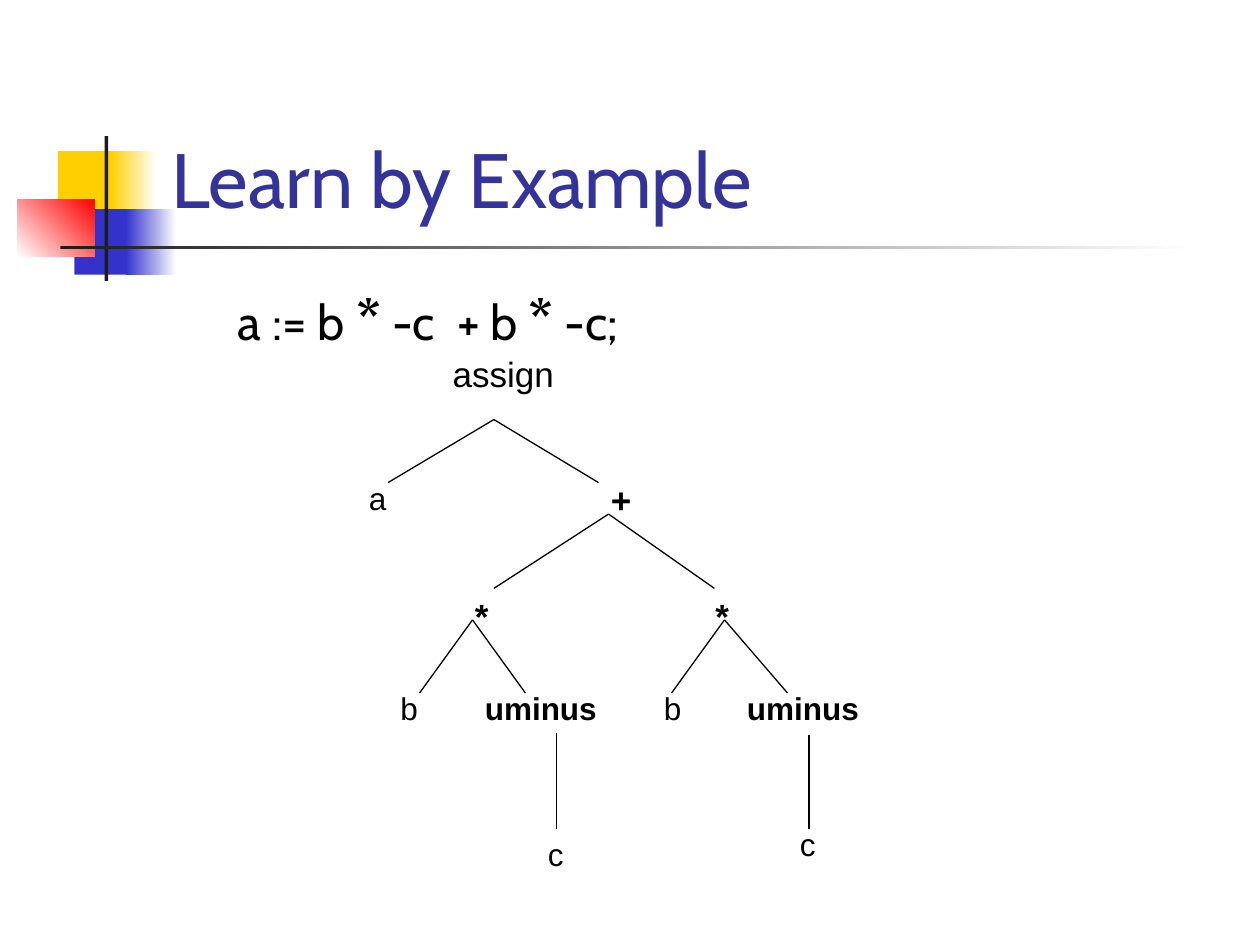
from dataclasses import dataclass

from lxml.etree import SubElement
from pptx import Presentation
from pptx.dml.color import RGBColor
from pptx.enum.shapes import MSO_CONNECTOR, MSO_SHAPE
from pptx.enum.text import MSO_ANCHOR, PP_ALIGN
from pptx.oxml.ns import qn
from pptx.util import Inches, Pt


@dataclass(frozen=True)
class Theme:
    """Colours, fonts and type sizes of the slide."""
    yellow: str = "FFCF01"
    blue: str = "3333CC"
    red: str = "FF0000"
    dark: str = "1C1C1C"
    white: str = "FFFFFF"
    title: str = "333399"
    text: str = "000000"
    heading_font: str = "Cabin"
    tree_font: str = "Arial"
    title_size: int = 44
    code_size: int = 28
    star_size: int = 32
    operator_size: int = 20
    leaf_size: int = 18
    line_width: float = 0.75


THEME = Theme()


def add_block(slide, box, start, end=None, angle=0):
    """Add a rectangle with a solid fill, or a gradient when end is given."""
    sp = slide.shapes.add_shape(MSO_SHAPE.RECTANGLE, *map(Inches, box))
    sp.shadow.inherit = False
    sp.line.fill.background()
    if end is None:
        sp.fill.solid()
        sp.fill.fore_color.rgb = RGBColor.from_string(start)
        return
    sp.fill.gradient()
    sp.fill.gradient_angle = angle
    for stop, color in zip(sp.fill.gradient_stops, (start, end)):
        stop.color.rgb = RGBColor.from_string(color)


def add_text(slide, box, runs, font, color=THEME.text,
             anchor=MSO_ANCHOR.TOP, align=PP_ALIGN.LEFT):
    """Add a one-paragraph text box from (text, size, bold) runs."""
    sp = slide.shapes.add_textbox(*map(Inches, box))
    tf = sp.text_frame
    tf.word_wrap = True
    tf.vertical_anchor = anchor
    p = tf.paragraphs[0]
    p.alignment = align
    for text, size, bold in runs:
        r = p.add_run()
        r.text = text
        r.font.name = font
        r.font.size = Pt(size)
        r.font.bold = bold
        r.font.color.rgb = RGBColor.from_string(color)
    return sp


def add_node(slide, text, left, top, width, size=THEME.leaf_size,
             bold=False, align=PP_ALIGN.LEFT):
    """Add the label of one syntax tree node."""
    height = 0.44 if size == THEME.operator_size else 0.4
    return add_text(slide, (left, top, width, height), [(text, size, bold)],
                    THEME.tree_font, align=align)


def add_edge(slide, start, end):
    """Add a thin line between two points of the tree."""
    line = slide.shapes.add_connector(
        MSO_CONNECTOR.STRAIGHT, *map(Inches, (*start, *end)))
    line.line.width = Pt(THEME.line_width)
    line.line.color.rgb = RGBColor.from_string(THEME.text)
    SubElement(line._element.spPr, qn("a:effectLst"))
    return line


def add_fork(slide, apex, left_x, right_x, bottom):
    """Add the two edges from a parent down to its children."""
    for x in (left_x, right_x):
        add_edge(slide, apex, (x, bottom))


def add_decoration(slide):
    """Add the coloured blocks and the rules beside the title."""
    t = THEME
    add_block(slide, (0.46, 1.2, 0.48, 0.52), t.yellow)
    add_block(slide, (0.88, 1.2, 0.36, 0.52), t.yellow, t.white)
    add_block(slide, (0.59, 1.66, 0.46, 0.52), t.blue)
    add_block(slide, (1, 1.66, 0.4, 0.52), t.blue, t.white)
    add_block(slide, (0.14, 1.58, 0.61, 0.46), t.white, t.red, 45)
    add_block(slide, (0.83, 1.08, 0.03, 1.15), t.dark)
    add_block(slide, (0.48, 1.95, 9, 0.03), t.dark, t.white)


def add_heading(slide):
    """Add the title and the example statement."""
    t = THEME
    add_text(slide, (1.26, 0.23, 8.52, 1.6),
             [("Learn by Example", t.title_size, False)],
             t.heading_font, t.title, MSO_ANCHOR.BOTTOM)
    star = ("*", t.star_size, True)
    runs = [("a := b ", t.code_size, False), star,
            (" -c  + b ", t.code_size, False), star,
            (" -c;", t.code_size, False)]
    add_text(slide, (1.79, 2.21, 8, 0.65), runs, t.heading_font)


def add_tree(slide):
    """Add the syntax tree of the statement."""
    big = THEME.operator_size
    add_node(slide, "assign", 3.33, 2.75, 1.33, big, align=PP_ALIGN.CENTER)
    add_node(slide, "a", 2.83, 3.75, 0.33)
    add_node(slide, "+", 4.75, 3.75, 0.42, big, True)
    add_fork(slide, (3.92, 3.33), 3.08, 4.75, 3.83)
    add_fork(slide, (4.83, 4.08), 3.92, 5.67, 4.67)

    products = [
        (3.67, 0.5, 3.75, 3.33, 4.17, 3.08, 3.75, 4.25, 6.58),
        (5.58, 0.83, 5.75, 5.33, 6.25, 5.17, 5.83, 6.25, 6.5),
    ]
    for star_x, star_w, apex, left, right, b_x, minus_x, c_x, c_y in products:
        add_node(slide, "*", star_x, 4.67, star_w, big, True)
        add_fork(slide, (apex, 4.92), left, right, 5.5)
        add_node(slide, "b", b_x, 5.42, 0.42)
        minus = add_node(slide, "uminus", minus_x, 5.42, 1.33, bold=True)
        c = add_node(slide, "c", c_x, c_y, 0.33)
        stem_x = c_x + 0.17
        stem = add_edge(slide, (stem_x, 5.83), (stem_x, 6.58))
        if c_y == 6.58:
            stem.begin_connect(minus, 2)
            stem.end_connect(c, 0)


def main():
    """Build and save the slide."""
    prs = Presentation()
    prs.slide_width, prs.slide_height = Inches(10), Inches(7.5)
    slide = prs.slides.add_slide(prs.slide_layouts[6])
    add_decoration(slide)
    add_heading(slide)
    add_tree(slide)
    prs.save("out.pptx")


if __name__ == "__main__":
    main()
